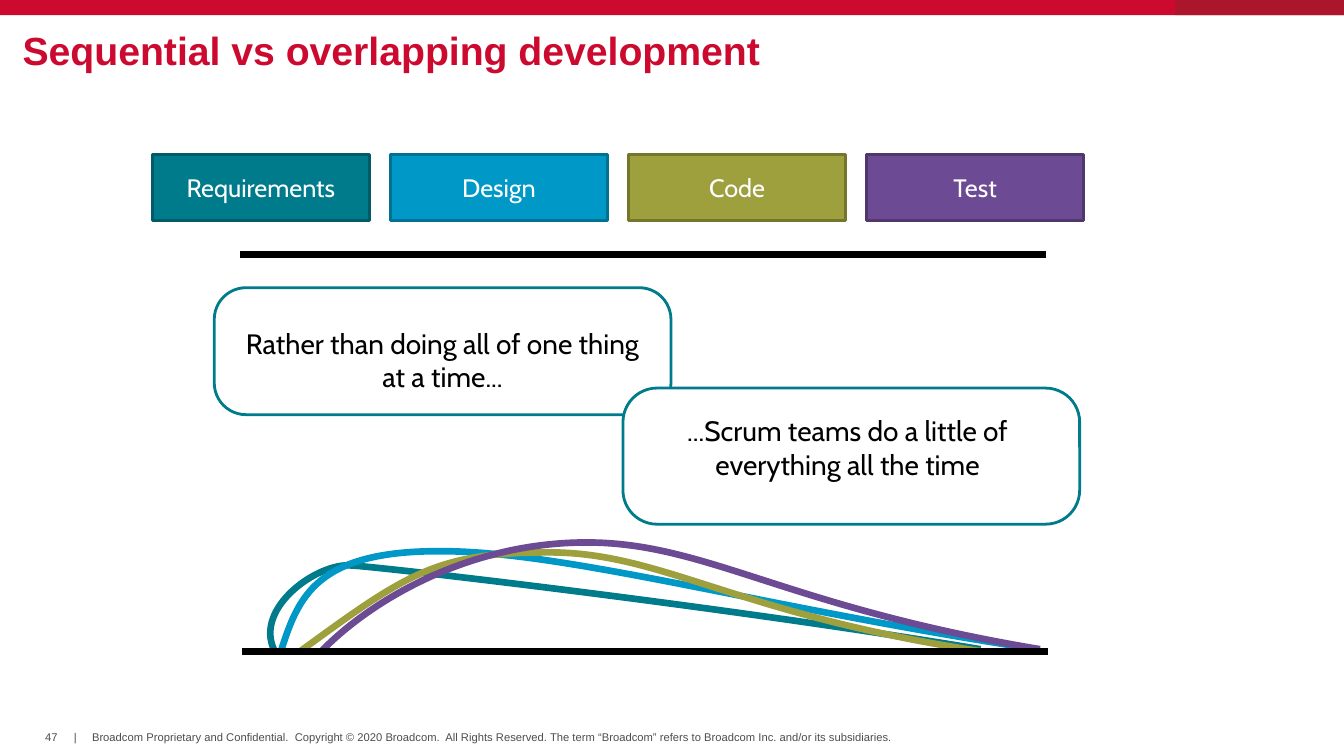
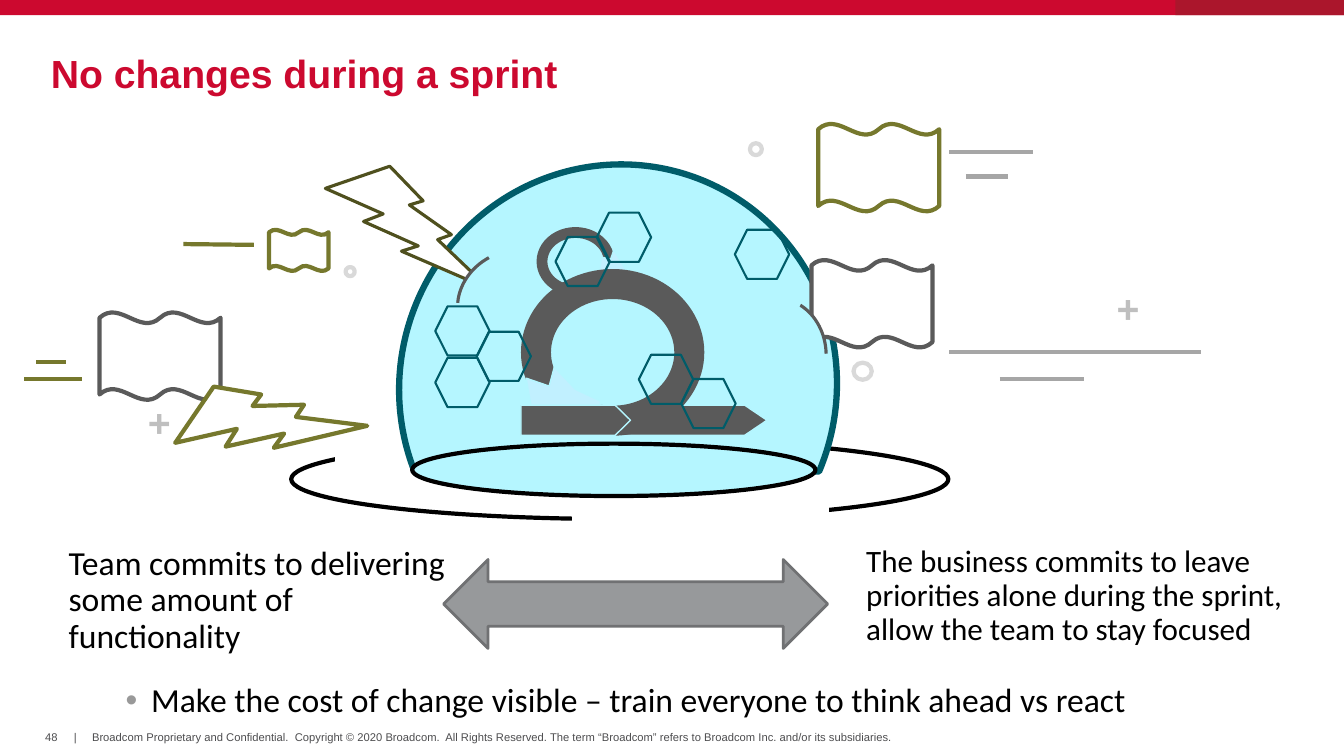
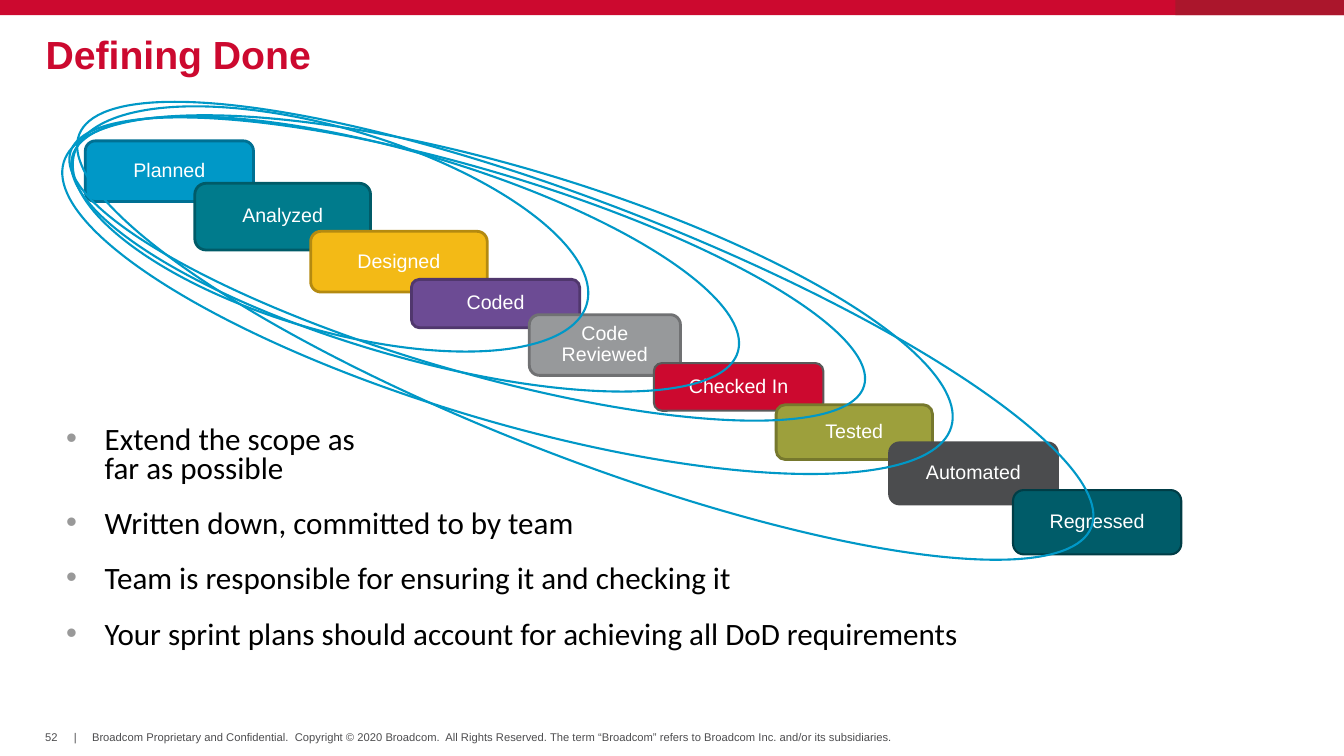
"""Build three slides on sequential work, sprint stability and the definition of done."""
import lxml.etree
import pptx
import pptx.dml.color
import pptx.enum.shapes
import pptx.enum.text
import pptx.oxml.ns
import pptx.shapes.connector
import pptx.util

Cm = pptx.util.Cm
Kind = pptx.enum.shapes.MSO_SHAPE
Align = pptx.enum.text.PP_ALIGN
Anchor = pptx.enum.text.MSO_ANCHOR
STRAIGHT = pptx.enum.shapes.MSO_CONNECTOR.STRAIGHT
qn = pptx.oxml.ns.qn

RED, DARK_RED, WHITE, BLACK = "CC092F", "AB162C", "FFFFFF", "000000"
TEAL, DEEP_TEAL, BLUE, DARK_BLUE = "007B8C", "005C69", "0098C7", "007093"
OLIVE, DARK_OLIVE, PURPLE, DARK_PURPLE = "9DA03C", "76782D", "6C4B94", "50376D"
GREY, DARK_GREY, CHARCOAL, PALE_GREY = "97999B", "707173", "5A5A5A", "A6A6A6"
GLASS, ICE = "B5F6FF", "C1F0FF"


def paint(shape, fill=None, line=None, weight=0, angle=0, *adjustments):
    color = pptx.dml.color.RGBColor.from_string
    if line:
        shape.line.color.rgb = color(line)
        shape.line.width = pptx.util.Pt(weight)
    else:
        shape.line.fill.background()
    if isinstance(shape, pptx.shapes.connector.Connector):
        lxml.etree.SubElement(shape.element.spPr, qn("a:effectLst"))
        return shape
    if fill:
        shape.fill.solid()
        shape.fill.fore_color.rgb = color(fill)
    else:
        shape.fill.background()
    shape.shadow.inherit = False
    shape.rotation = angle
    for index, value in enumerate(adjustments):
        shape.adjustments[index] = value
    return shape


def write(box, text, *, size, font="Arial", color=BLACK, bold=False, align=Align.LEFT,
          anchor=Anchor.TOP, spacing=1.0, before=0, indent=0, hanging=0, insets=(0, 0, 0, 0)):
    frame = box.text_frame
    frame.text = text
    frame.word_wrap = True
    frame.auto_size = pptx.enum.text.MSO_AUTO_SIZE.NONE
    frame.vertical_anchor = anchor
    frame.margin_left, frame.margin_top, frame.margin_right, frame.margin_bottom = map(Cm, insets)
    for index, para in enumerate(frame.paragraphs):
        para.alignment = align
        para.line_spacing = spacing
        para.space_before = pptx.util.Pt(before if index else 0)
        props = para._p.get_or_add_pPr()
        props.set("marL", str(Cm(indent)))
        props.set("indent", str(-Cm(hanging)))
        if hanging:
            tint = lxml.etree.SubElement(props, qn("a:buClr"))
            lxml.etree.SubElement(tint, qn("a:srgbClr"), val="999999")
            lxml.etree.SubElement(props, qn("a:buFont"), typeface="Arial")
            lxml.etree.SubElement(props, qn("a:buChar"), char="•")
        for span in para.runs:
            span.font.name = font
            span.font.size = pptx.util.Pt(size)
            span.font.bold = bold
            span.font.color.rgb = pptx.dml.color.RGBColor.from_string(color)


deck = pptx.Presentation()
deck.slide_width, deck.slide_height = Cm(33.87), Cm(19.05)

COPYRIGHT = ("Broadcom Proprietary and Confidential.  Copyright © 2020 Broadcom.  All Rights Reserved. "
             "The term “Broadcom” refers to Broadcom Inc. and/or its subsidiaries.")
pages = []
for number, heading, left, top in [
    ("47", "Sequential vs overlapping development", 0.57, 0.84),
    ("48", "No changes during a sprint", 1.28, 1.42),
    ("52", "Defining Done", 1.15, 0.94),
]:
    page = deck.slides.add_slide(deck.slide_layouts[5])
    pages.append(page)
    for start, width, fill in [(0, 33.87, RED), (29.62, 4.25, DARK_RED)]:
        paint(page.shapes.add_shape(Kind.RECTANGLE, Cm(start), 0, Cm(width), Cm(0.38)), fill)
    for text, start, width in [(number, 1.14, 0.36), ("|", 1.86, 0.08), (COPYRIGHT, 2.32, 20.35)]:
        box = page.shapes.add_textbox(Cm(start), Cm(18.42), Cm(width), Cm(0.33))
        write(box, text, size=8, color="4D4D4F", anchor=Anchor.MIDDLE)
    title = page.shapes.title
    title.left, title.top, title.width, title.height = map(Cm, (left, top, 31.57, 1.02))
    write(title, heading, size=28, color=RED, bold=True, anchor=Anchor.MIDDLE, spacing=0.85)

overlap, sprint, done = pages

for place in [(5.4, 7.25, 11.51, 3.2), (15.7, 9.78, 11.51, 3.43)]:
    bubble = overlap.shapes.add_shape(Kind.ROUNDED_RECTANGLE, *map(Cm, place))
    paint(bubble, WHITE, TEAL, 2, 0, 0.25)

for text, place in [
    ("Rather than doing all of one thing at a time...", (5.77, 8.07, 10.77, 2.74)),
    ("...Scrum teams do a little of everything all the time", (15.77, 10.27, 11.18, 2.74)),
]:
    box = overlap.shapes.add_textbox(*map(Cm, place))
    write(box, text, size=20, font="Cabin", align=Align.CENTER, insets=(0.15, 0.15, 0.15, 0.15))

phases = [
    ("Requirements", TEAL, "005B68", [
        (6.91, 16.38), (6.4, 15.32), (8, 14.17), (8.86, 14.25),
        (9.73, 14.3), (18.26, 15.29), (24.71, 16.36)]),
    ("Design", BLUE, DARK_BLUE, [
        (7.09, 16.38), (7.52, 15.04), (7.98, 13.89), (11.05, 13.89),
        (14.15, 13.87), (18.97, 15.24), (25.6, 16.28)]),
    ("Code", OLIVE, "74762C", [
        (7.54, 16.43), (10.26, 14.45), (11, 13.92), (13.84, 13.92),
        (16.71, 13.92), (18.59, 15.49), (24.71, 16.41)]),
    ("Test", PURPLE, DARK_PURPLE, [
        (8.13, 16.38), (9.35, 15.14), (11.79, 13.67), (14.78, 13.67),
        (17.81, 13.67), (19.79, 15.29), (26.21, 16.36)]),
]
for index, (name, fill, border, knots) in enumerate(phases):
    card = overlap.shapes.add_shape(Kind.RECTANGLE, *map(Cm, (3.84 + 6 * index, 3.89, 5.47, 1.66)))
    paint(card, fill, border, 2)
    write(card, name, size=18, font="Cabin", color=WHITE, align=Align.CENTER, anchor=Anchor.MIDDLE)
    points = [(Cm(x), Cm(y)) for x, y in knots]
    outline = overlap.shapes.build_freeform(*points[0])
    outline.add_line_segments(points[1:], close=False)
    curve = paint(outline.convert_to_shape(), None, fill, 4.75)
    track = next(curve.element.iter(qn("a:path")))
    corners = track.findall(qn("a:lnTo"))
    for first in (0, 3):
        bend = lxml.etree.SubElement(track, qn("a:cubicBezTo"))
        for corner in corners[first:first + 3]:
            bend.append(corner[0])
            track.remove(corner)

for left, top in [(6.05, 6.41), (6.1, 16.41)]:
    rule = overlap.shapes.add_connector(STRAIGHT, *map(Cm, (left, top, left + 20.32, top)))
    paint(rule, None, BLACK, 5)

first_notch = [(15.47, 6.3), (15.9, 7.01), (15.85, 7.26), (15.06, 7.14), (15.16, 6.48), (15.39, 6.53)]
second_notch = [(13.97, 9.25), (14.5, 9.81), (15.14, 10.11), (15.01, 10.72),
                (13.97, 10.64), (13.39, 10.27), (13.26, 9.53), (13.84, 9.73)]
scene = [
    (Kind.OVAL, (7.34, 11.07, 16.56, 2.01), WHITE, BLACK, 3),
    (Kind.RECTANGLE, (8.46, 9.02, 2.72, 2.92), WHITE, WHITE, 1.5),
    (Kind.CHORD, (9.96, 4.24, 11.23, 11), GLASS, DEEP_TEAL, 4.5, 112.9),
    (Kind.OVAL, (10.39, 11.18, 10.16, 1.32), GLASS, BLACK, 3),
    (Kind.LIGHTNING_BOLT, (8.2, 4.19, 4.14, 3.1), WHITE, "4F501E", 2.25),
    (Kind.ARC, (11.68, 6.15, 2.46, 2.84), GLASS, CHARCOAL, 2.25, 241.4, 177.67, 0),
    (Kind.RECTANGLE, (14.43, 12.62, 6.43, 1.68), WHITE, WHITE, 1.5),
    (Kind.DOUBLE_WAVE, (20.62, 3.12, 3.05, 2.21), WHITE, DARK_OLIVE, 3),
    (Kind.DOUBLE_WAVE, (2.51, 7.87, 3.05, 2.21), WHITE, CHARCOAL, 3),
    (Kind.PENTAGON, (15.47, 10.21, 3.86, 0.76), CHARCOAL, GLASS, 1, 0, 0.74),
    (Kind.DONUT, (13.54, 5.74, 1.93, 1.7), CHARCOAL, CHARCOAL, 1, 0, 0.14),
    (None, first_notch, ICE, GLASS, 1),
    (Kind.DONUT, (13.13, 6.78, 4.62, 4.2), CHARCOAL, None, 0, 0, 0.18),
    (None, second_notch, ICE, GLASS, 1),
    (Kind.PENTAGON, (13.13, 10.21, 2.76, 0.76), CHARCOAL, GLASS, 1, 0, 0.51),
    (Kind.DOUBLE_WAVE, (6.78, 5.79, 1.5, 1.04), WHITE, DARK_OLIVE, 3),
    (Kind.FLOWCHART_CONNECTOR, (8.71, 6.73, 0.23, 0.23), WHITE, "D9D9D9", 3),
    (Kind.FLOWCHART_CONNECTOR, (18.9, 3.61, 0.3, 0.3), WHITE, "D9D9D9", 3),
    (Kind.FLOWCHART_CONNECTOR, (21.51, 9.14, 0.46, 0.43), WHITE, "D9D9D9", 3),
    (Kind.LIGHTNING_BOLT, (4.6, 9.17, 4.14, 3.1), WHITE, DARK_OLIVE, 3, 323.4),
    (Kind.DOUBLE_WAVE, (20.45, 6.55, 3.05, 2.21), WHITE, CHARCOAL, 3),
    (Kind.ARC, (18.36, 7.52, 2.46, 2.84), GLASS, CHARCOAL, 2.25, 358.8, 177.67, 0),
    (Kind.LEFT_RIGHT_ARROW, (11.18, 14.1, 9.68, 2.24), GREY, DARK_GREY, 2),
]
for kind, place, *look in scene:
    if kind is None:
        points = [(Cm(x), Cm(y)) for x, y in place]
        outline = sprint.shapes.build_freeform(*points[0])
        outline.add_line_segments(points[1:], close=True)
        paint(outline.convert_to_shape(), *look)
    else:
        paint(sprint.shapes.add_shape(kind, *map(Cm, place)), *look)

for left, top in [(10.97, 9.02), (10.97, 7.72), (12.01, 8.36), (18.52, 5.79),
                  (16.1, 8.94), (17.17, 9.55), (14, 5.97), (15.04, 5.36)]:
    cell = sprint.shapes.add_shape(Kind.HEXAGON, *map(Cm, (left, top, 1.37, 1.24)))
    paint(cell, None, DEEP_TEAL, 1.5)

for start, top, end, bottom, color in [
    (4.62, 6.15, 6.4, 6.17, DARK_OLIVE),
    (0.91, 9.13, 1.66, 9.13, DARK_OLIVE),
    (0.61, 9.55, 2.07, 9.55, DARK_OLIVE),
    (25.2, 9.55, 27.31, 9.55, PALE_GREY),
    (23.92, 8.86, 30.27, 8.86, PALE_GREY),
    (23.92, 3.84, 26.04, 3.84, PALE_GREY),
    (24.34, 4.45, 25.4, 4.45, PALE_GREY),
]:
    streak = sprint.shapes.add_connector(STRAIGHT, *map(Cm, (start, top, end, bottom)))
    paint(streak, None, color, 3)

for left, top, fill in [(3.73, 10.18, WHITE), (28.14, 7.29, None)]:
    plus = sprint.shapes.add_shape(Kind.RECTANGLE, *map(Cm, (left, top, 0.61, 1.04)))
    write(paint(plus, fill), "+", size=28, color="BFBFBF", bold=True, spacing=0.9)

for text, place, size, indent, hanging in [
    ("Team commits to delivering some amount of functionality",
     (0.43, 13.77, 11.2, 3.53), 24, 1.3, 0),
    ("Make the cost of change visible – train everyone to think ahead vs react",
     (1.88, 17.22, 30.68, 1.83), 24, 1.93, 0.64),
    ("The business commits to leave priorities alone during the sprint, "
     "allow the team to stay focused", (20.53, 13.76, 12.04, 2.62), 22.2, 1.3, 0),
]:
    box = sprint.shapes.add_textbox(*map(Cm, place))
    write(box, text, size=size, font="Calibri", spacing=0.9, indent=indent, hanging=hanging)

for name, place, fill, border, weight in [
    ("Planned", (2.15, 3.55, 4.24, 1.53), BLUE, DARK_BLUE, 2),
    ("Analyzed", (4.91, 4.62, 4.43, 1.68), TEAL, "005B68", 2),
    ("Designed", (7.83, 5.83, 4.45, 1.53), "F3BA16", "B48A10", 2),
    ("Coded", (10.37, 7.04, 4.24, 1.22), PURPLE, DARK_PURPLE, 2),
    ("Code Reviewed", (13.34, 7.93, 3.81, 1.53), GREY, DARK_GREY, 2),
    ("Checked In", (16.48, 9.15, 4.27, 1.2), RED, CHARCOAL, 1.5),
    ("Tested", (19.56, 10.2, 3.94, 1.38), OLIVE, DARK_OLIVE, 2),
    ("Automated", (22.41, 11.15, 4.25, 1.56), "4B4C4E", "4B4C4E", 1.5),
    ("Regressed", (25.53, 12.35, 4.24, 1.62), DEEP_TEAL, "003D46", 1.5),
]:
    stage = paint(done.shapes.add_shape(Kind.ROUNDED_RECTANGLE, *map(Cm, place)), fill, border, weight)
    write(stage, name, size=14, color=WHITE, align=Align.CENTER, anchor=Anchor.MIDDLE,
          spacing=0.9, insets=(0.25, 0.13, 0.25, 0.13))

for left, top, width, height, angle in [
    (1.6, 3.23, 13.46, 5.08, 16.4),
    (1.47, 3.86, 17.48, 5.08, 16.4),
    (1.35, 4.24, 20.85, 5.08, 16.4),
    (1.12, 4.24, 23.34, 6.37, 16.6),
    (1.07, 5.15, 27.36, 6.37, 21.2),
]:
    scope = done.shapes.add_shape(Kind.OVAL, *map(Cm, (left, top, width, height)))
    paint(scope, None, BLUE, 1.5, angle)

rules = [
    "Extend the scope as\vfar as possible",
    "Written down, committed to by team",
    "Team is responsible for ensuring it and checking it",
    "Your sprint plans should account for achieving all DoD requirements",
]
box = done.shapes.add_textbox(*map(Cm, (0.38, 10.74, 26.29, 5.64)))
write(box, "\n".join(rules), size=22.2, font="Calibri", spacing=0.8, before=18,
      indent=2.26, hanging=0.97)

deck.save("out.pptx")
